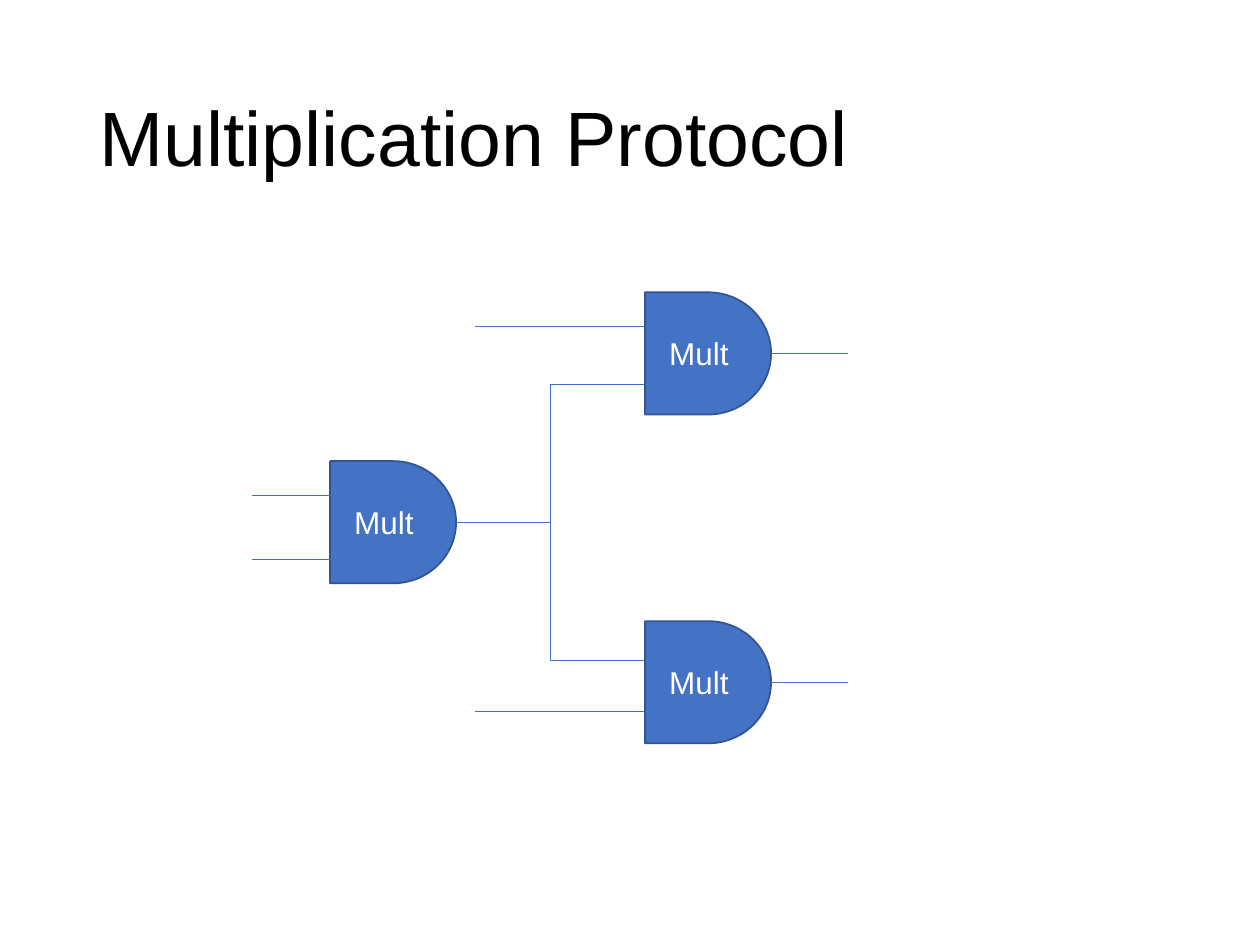
from lxml import etree
from pptx import Presentation
from pptx.dml.color import RGBColor
from pptx.enum.shapes import MSO_CONNECTOR, MSO_SHAPE
from pptx.enum.text import MSO_ANCHOR, PP_ALIGN
from pptx.oxml.ns import qn
from pptx.util import Inches, Pt

DELAY = MSO_SHAPE.FLOWCHART_DELAY
LINE, BENT = MSO_CONNECTOR.STRAIGHT, MSO_CONNECTOR.ELBOW
LEFT, CENTER = PP_ALIGN.LEFT, PP_ALIGN.CENTER

WIDE, HIGH = 10, 7.5
COLORS = {"ink": "000000", "white": "FFFFFF", "gate": "4472C4", "edge": "325491"}
TITLE = "Multiplication Protocol"
TITLE_BOX = (0.69, 0.4, 8.62, 1.45)

# Columns of the circuit, left to right
GATE_W, GATE_H = 1, 0.97
COLS = {"input": 2, "first": 2.62, "feed": 3.77, "second": 5.12}
OUT = COLS["second"] + GATE_W
STUB = 0.61

# Label, column and top of each gate
GATES = [
    ("Mult", "first", 3.66),
    ("Mult", "second", 2.32),
    ("Mult", "second", 4.93),
]
MIDS = [top + GATE_H / 2 for _, _, top in GATES]

# Start column, end column and height of each input wire
INPUTS = [
    ("input", "first", 3.93),
    ("input", "first", 4.44),
    ("feed", "second", 2.59),
    ("feed", "second", 5.65),
]
BRANCHES = [3.05, 5.24]


def color(name):
    return RGBColor.from_string(COLORS[name])


def write(shape, text, size=18, ink="white", align=CENTER, spacing=1.0):
    frame = shape.text_frame
    frame.word_wrap = True
    frame.vertical_anchor = MSO_ANCHOR.MIDDLE
    para = frame.paragraphs[0]
    para.text = text
    para.alignment = align
    para.line_spacing = spacing
    font = para.runs[0].font
    font.name, font.size = "Arial", Pt(size)
    font.color.rgb = color(ink)


def wire(slide, x1, y1, x2, y2, kind=LINE):
    ends = [Inches(n) for n in (x1, y1, x2, y2)]
    link = slide.shapes.add_connector(kind, *ends)
    link.line.color.rgb = color("gate")
    link.line.width = Pt(0.5)
    etree.SubElement(link._element.spPr, qn("a:effectLst"))


def gate(slide, text, left, top):
    box = [Inches(n) for n in (left, top, GATE_W, GATE_H)]
    shape = slide.shapes.add_shape(DELAY, *box)
    shape.shadow.inherit = False
    shape.fill.solid()
    shape.fill.fore_color.rgb = color("gate")
    shape.line.color.rgb = color("edge")
    shape.line.width = Pt(1)
    write(shape, text)


def main():
    deck = Presentation()
    deck.slide_width, deck.slide_height = Inches(WIDE), Inches(HIGH)
    slide = deck.slides.add_slide(deck.slide_layouts[6])

    title = slide.shapes.add_textbox(*[Inches(n) for n in TITLE_BOX])
    write(title, TITLE, size=44, ink="ink", align=LEFT, spacing=0.9)

    for text, col, top in GATES:
        gate(slide, text, COLS[col], top)
    for y in BRANCHES:
        wire(slide, COLS["first"] + GATE_W, MIDS[0], COLS["second"], y, BENT)
    for start, end, y in INPUTS:
        wire(slide, COLS[start], y, COLS[end], y)
    for y in MIDS[1:]:
        wire(slide, OUT, y, OUT + STUB, y)

    deck.save("out.pptx")


if __name__ == "__main__":
    main()
